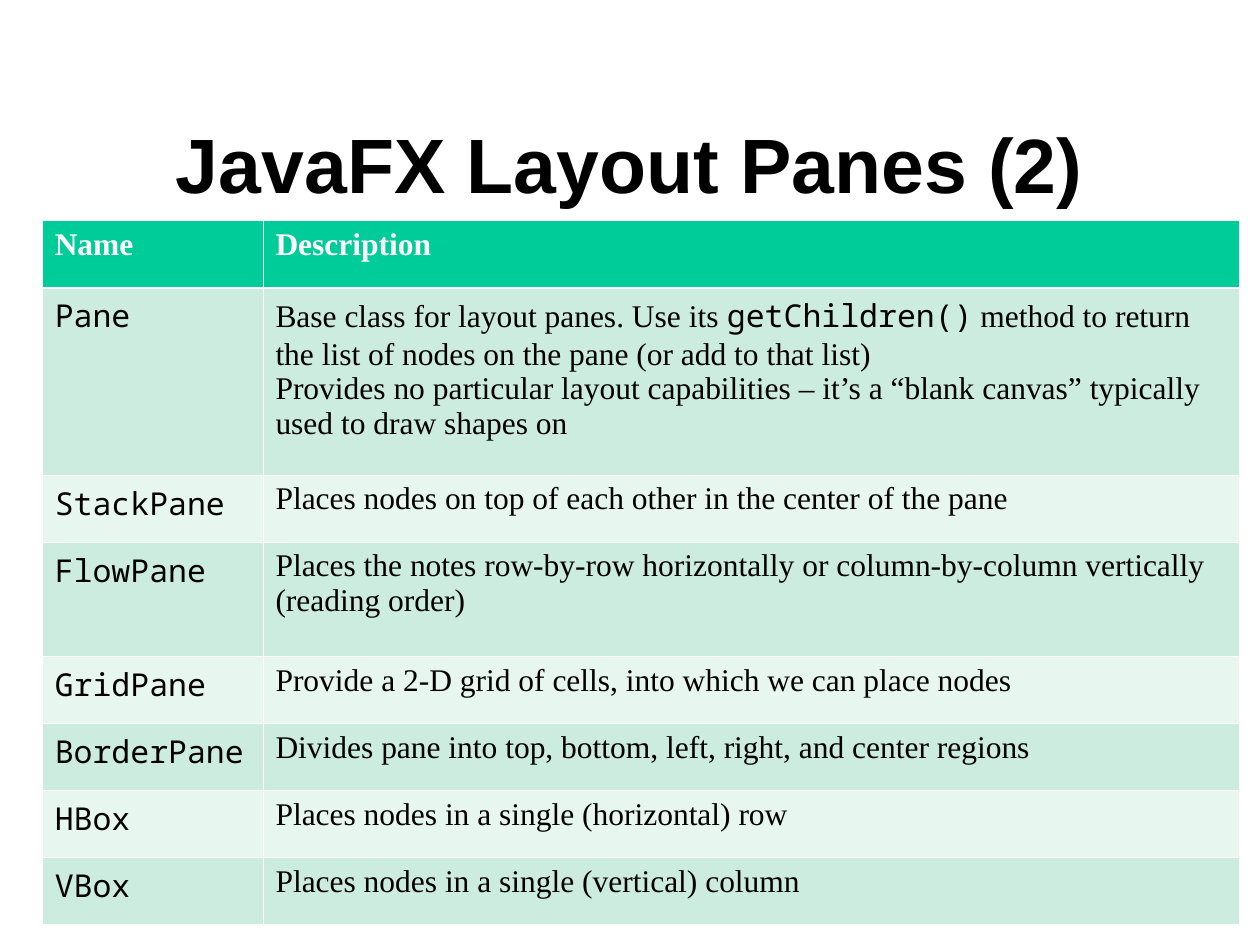
import pptx
import pptx.util
import pptx.dml.color
import pptx.enum.text
import pptx.oxml.ns
import lxml.etree

Cm = pptx.util.Cm
Pt = pptx.util.Pt


def color(code):
    return pptx.dml.color.RGBColor.from_string(code)


def border(cell, side, width):
    qn = pptx.oxml.ns.qn
    props = cell._tc.get_or_add_tcPr()
    line = lxml.etree.SubElement(props, qn("a:ln" + side), w=str(Pt(width)))
    fill = lxml.etree.SubElement(line, qn("a:solidFill"))
    lxml.etree.SubElement(fill, qn("a:srgbClr"), val="FFFFFF")


deck = pptx.Presentation()
deck.slide_width = Cm(25.4)
deck.slide_height = Cm(19.05)
slide = deck.slides.add_slide(deck.slide_layouts[6])

title = slide.shapes.add_textbox(Cm(1.9), Cm(1.7), Cm(21.6), Cm(3.18))
frame = title.text_frame
frame.word_wrap = True
frame.vertical_anchor = pptx.enum.text.MSO_ANCHOR.MIDDLE
frame.text = "JavaFX Layout Panes (2)"
para = frame.paragraphs[0]
para.alignment = pptx.enum.text.PP_ALIGN.CENTER
font = para.runs[0].font
font.name = "Arial"
font.size = Pt(44)
font.bold = True
font.color.rgb = color("000000")

method = "getChildren()"
rows = [
    (1.35, "Name", ["Description"]),
    (3.78, "Pane", [
        "Base class for layout panes. Use its ",
        method,
        " method to return the list of nodes on the pane (or add to that list)",
        "\n",
        "Provides no particular layout capabilities – it’s a “blank canvas” typically used to draw shapes on",
    ]),
    (1.35, "StackPane", ["Places nodes on top of each other in the center of the pane"]),
    (2.31, "FlowPane", ["Places the notes row-by-row horizontally or column-by-column vertically (reading order)"]),
    (1.35, "GridPane", ["Provide a 2-D grid of cells, into which we can place nodes"]),
    (1.35, "BorderPane", ["Divides pane into top, bottom, left, right, and center regions"]),
    (1.35, "HBox", ["Places nodes in a single (horizontal) row"]),
    (1.35, "VBox", ["Places nodes in a single (vertical) column"]),
]
widths = [4.45, 19.69]
total = sum(row[0] for row in rows)
table = slide.shapes.add_table(
    len(rows), len(widths), Cm(0.85), Cm(4.45), Cm(sum(widths)), Cm(total)
).table
for col, width in enumerate(widths):
    table.columns[col].width = Cm(width)

for index, (height, name, about) in enumerate(rows):
    table.rows[index].height = Cm(height)
    head = index == 0
    shade = "00CC99" if head else "CBECDE" if index % 2 else "E7F6EF"
    for col, parts in enumerate([[name], about]):
        cell = table.cell(index, col)
        border(cell, "L", 0.45)
        border(cell, "R", 0.45)
        border(cell, "T", 1.47 if index == 1 else 0.45)
        border(cell, "B", 1.47 if head else 0.45)
        cell.fill.solid()
        cell.fill.fore_color.rgb = color(shade)
        para = cell.text_frame.paragraphs[0]
        for part in parts:
            if part == "\n":
                para.add_line_break()
                continue
            run = para.add_run()
            run.text = part
            code = part == method or (col == 0 and not head)
            run.font.name = "Noto Sans Mono" if code else "Times New Roman"
            run.font.size = Pt(18)
            run.font.bold = head
            run.font.color.rgb = color("FFFFFF" if head else "000000")

deck.save("out.pptx")
